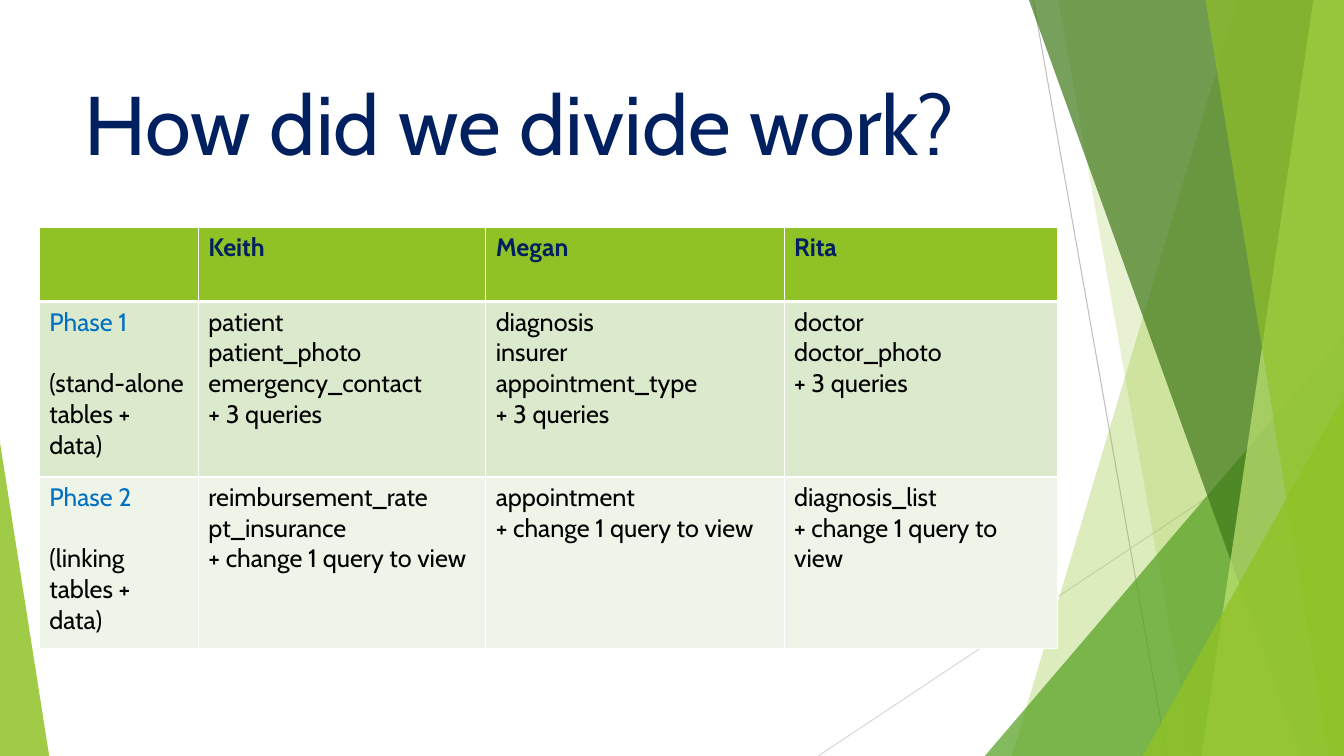
from dataclasses import dataclass

import pptx
import pptx.dml.color
import pptx.enum.shapes
import pptx.enum.text
import pptx.oxml
import pptx.oxml.ns
import pptx.presentation
import pptx.slide
import pptx.table
import pptx.util
from pptx.util import Cm, Pt

WIDTH, HEIGHT = 33.87, 19.05
FONT = "Cabin"
GREEN, NAVY, BLUE, BLACK, WHITE = "90C226", "002060", "0070C0", "000000", "FFFFFF"


@dataclass
class Ray:
    """A straight line of the backdrop, in centimetres."""
    start: tuple[float, float]
    end: tuple[float, float]
    color: str


@dataclass
class Facet:
    """A full-height panel from a slanted left edge to the right slide edge."""
    top_x: float
    bottom_x: float
    color: str
    opacity: int


@dataclass
class Corner:
    """A right triangle standing on the bottom edge; apex 0 is left, 1 is right."""
    left: float
    top: float
    width: float
    apex: int
    color: str
    opacity: int


@dataclass
class Line:
    """One paragraph of a table cell."""
    text: str
    color: str = BLACK
    bold: bool = False
    space_before: float = 0


RAYS = [
    Ray((26.04, 0), (29.41, HEIGHT), "BFBFBF"),
    Ray((WIDTH, 10.24), (20.62, HEIGHT), "D9D9D9"),
]

# Back to front
PANELS = [
    Facet(31.19, 25.5, GREEN, 30),
    Facet(26.67, 30.05, GREEN, 20),
    Corner(24.82, 8.46, 9.05, 1, "54A021", 72),
    Facet(25.93, 32.79, "3F7819", 70),
    Facet(33.1, 30.28, "C0E474", 70),
    Facet(30.38, 33.48, GREEN, 65),
    Corner(28.8, 9.98, 5.07, 1, GREEN, 80),
    Corner(0, 11.15, 1.24, 0, GREEN, 85),
]

COLUMN_WIDTHS = [4.01, 7.24, 7.52, 6.88]
ROW_HEIGHTS = [1.88, 4.42, 4.32]
ROW_FILLS = [GREEN, "DBE9CD", "EEF4E8"]
MEMBERS = ["Keith", "Megan", "Rita"]
PHASES = [
    ("Phase 1", "(stand-alone tables + data)", [
        ["patient", "patient_photo", "emergency_contact", "+ 3 queries"],
        ["diagnosis", "insurer", "appointment_type", "+ 3 queries"],
        ["doctor", "doctor_photo", "+ 3 queries"],
    ]),
    ("Phase 2", "(linking tables + data)", [
        ["reimbursement_rate", "pt_insurance", "+ change 1 query to view"],
        ["appointment", "+ change 1 query to view"],
        ["diagnosis_list", "+ change 1 query to view"],
    ]),
]


def rgb(color: str) -> pptx.dml.color.RGBColor:
    return pptx.dml.color.RGBColor.from_string(color)


def add_run(paragraph, text: str, size: float, color: str, bold: bool = False) -> None:
    run = paragraph.add_run()
    run.text = text
    run.font.name = FONT
    run.font.size = Pt(size)
    run.font.bold = bold
    run.font.color.rgb = rgb(color)


def add_ray(slide: pptx.slide.Slide, ray: Ray) -> None:
    connector = slide.shapes.add_connector(
        pptx.enum.shapes.MSO_CONNECTOR.STRAIGHT,
        *(Cm(value) for value in ray.start + ray.end))
    connector.line.color.rgb = rgb(ray.color)
    connector.line.width = Pt(0.75)
    pptx.oxml.ns.qn("a:effectLst")
    properties = connector.element.find(pptx.oxml.ns.qn("p:spPr"))
    properties.append(properties.makeelement(pptx.oxml.ns.qn("a:effectLst"), {}))


def add_panel(slide: pptx.slide.Slide, panel: Facet | Corner) -> None:
    if isinstance(panel, Facet):
        builder = slide.shapes.build_freeform(Cm(panel.top_x), 0)
        builder.add_line_segments([
            (Cm(WIDTH), 0), (Cm(WIDTH), Cm(HEIGHT)), (Cm(panel.bottom_x), Cm(HEIGHT))])
        shape = builder.convert_to_shape()
    else:
        shape = slide.shapes.add_shape(
            pptx.enum.shapes.MSO_SHAPE.ISOSCELES_TRIANGLE, Cm(panel.left), Cm(panel.top),
            Cm(panel.width), Cm(HEIGHT - panel.top))
        shape.adjustments[0] = panel.apex
    shape.shadow.inherit = False
    shape.line.fill.background()
    shape.fill.solid()
    shape.fill.fore_color.rgb = rgb(panel.color)
    color_element = shape.element.find(".//" + pptx.oxml.ns.qn("a:srgbClr"))
    alpha = color_element.makeelement(
        pptx.oxml.ns.qn("a:alpha"), {"val": str(panel.opacity * 1000)})
    color_element.append(alpha)


def set_borders(cell, bottom_width: float, top_width: float) -> None:
    properties = cell._tc.get_or_add_tcPr()
    for side, width in zip("LRTB", (1, 1, top_width, bottom_width)):
        properties.append(pptx.oxml.parse_xml(
            f'<a:ln{side} {pptx.oxml.ns.nsdecls("a")} w="{Pt(width)}"><a:solidFill>'
            f'<a:srgbClr val="{WHITE}"/></a:solidFill></a:ln{side}>'))


def fill_cell(cell, lines: list[Line], fill: str) -> None:
    cell.fill.solid()
    cell.fill.fore_color.rgb = rgb(fill)
    for index, line in enumerate(lines):
        frame = cell.text_frame
        paragraph = frame.add_paragraph() if index else frame.paragraphs[0]
        paragraph.space_before = Pt(line.space_before)
        add_run(paragraph, line.text, 18, line.color, line.bold)


def table_rows() -> list[list[list[Line]]]:
    rows = [[[]] + [[Line(member, NAVY, True)] for member in MEMBERS]]
    for phase, scope, tasks in PHASES:
        heading = [Line(phase, BLUE), Line(scope, space_before=22)]
        rows.append([heading] + [[Line(task) for task in column] for column in tasks])
    return rows


def add_work_table(slide: pptx.slide.Slide) -> None:
    table = slide.shapes.add_table(
        len(ROW_HEIGHTS), len(COLUMN_WIDTHS), Cm(0.99), Cm(5.72),
        Cm(sum(COLUMN_WIDTHS)), Cm(sum(ROW_HEIGHTS))).table
    for column, width in zip(table.columns, COLUMN_WIDTHS):
        column.width = Cm(width)
    for row_index, (row, height) in enumerate(zip(table.rows, ROW_HEIGHTS)):
        row.height = Cm(height)
        for cell, lines in zip(row.cells, table_rows()[row_index]):
            set_borders(cell, 3 if row_index == 0 else 1, 3 if row_index == 1 else 1)
            fill_cell(cell, lines, ROW_FILLS[row_index])


def add_title(slide: pptx.slide.Slide) -> None:
    title = slide.shapes.title
    title.left, title.top, title.width, title.height = Cm(1.88), Cm(1.7), Cm(23.88), Cm(3.66)
    frame = title.text_frame
    frame.auto_size = pptx.enum.text.MSO_AUTO_SIZE.NONE
    frame.vertical_anchor = pptx.enum.text.MSO_ANCHOR.TOP
    frame.paragraphs[0].alignment = pptx.enum.text.PP_ALIGN.LEFT
    add_run(frame.paragraphs[0], "How did we divide work?", 59.4, NAVY)


def main() -> None:
    presentation = pptx.Presentation()
    presentation.slide_width, presentation.slide_height = Cm(WIDTH), Cm(HEIGHT)
    slide = presentation.slides.add_slide(presentation.slide_layouts[5])

    # Backdrop
    for ray in RAYS:
        add_ray(slide, ray)
    for panel in PANELS:
        add_panel(slide, panel)

    # Content
    add_title(slide)
    add_work_table(slide)
    presentation.save("out.pptx")


if __name__ == "__main__":
    main()
